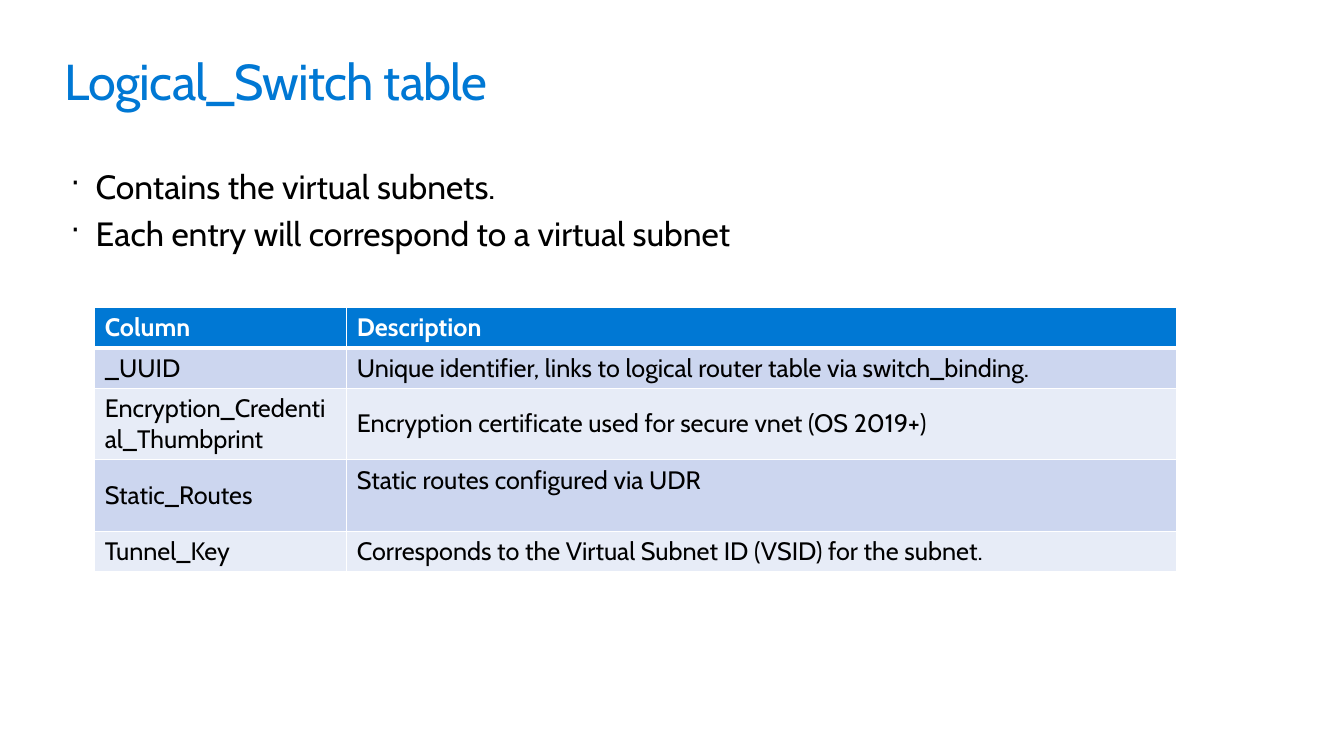
from lxml.etree import SubElement
from pptx import Presentation
from pptx.dml.color import RGBColor
from pptx.enum.text import MSO_ANCHOR
from pptx.oxml.ns import qn
from pptx.util import Inches, Pt

COLORS = {"blue": "0078D4", "black": "000000", "white": "FFFFFF",
          "band": "CCD6EF", "pale": "E7ECF7"}


def write(frame, text, size=18, color="black", bold=False, space=None, bullet=False):
    frame.word_wrap = True
    for i, line in enumerate(text.split("\n")):
        para = frame.add_paragraph() if i else frame.paragraphs[0]
        if i and bullet:
            para.space_before = Pt(size * 0.2)
        if bullet:
            props = para._p.get_or_add_pPr()
            props.set("marL", str(Inches(0.25)))
            props.set("indent", str(-Inches(0.25)))
            SubElement(props, qn("a:buSzPct"), val="90000")
            SubElement(props, qn("a:buChar"), char="·")
        run = para.add_run()
        run.text = line
        run.font.name = "Cabin"
        run.font.size = Pt(size)
        run.font.bold = bold
        run.font.color.rgb = RGBColor.from_string(COLORS[color])
        if space:
            run._r.get_or_add_rPr().set("spc", str(space))


def edge(cell, side, width):
    line = SubElement(cell._tc.get_or_add_tcPr(), qn("a:" + side), w=str(Pt(width)))
    fill = SubElement(line, qn("a:solidFill"))
    SubElement(fill, qn("a:srgbClr"), val=COLORS["white"])


deck = Presentation()
deck.slide_width = Inches(13.33)
deck.slide_height = Inches(7.5)
slide = deck.slides.add_slide(deck.slide_layouts[6])

texts = [
    ((0.64, 0.5, 12.05, 0.61), "Logical_Switch table",
     {"size": 36, "color": "blue", "space": -50}),
    ((0.7, 1.65, 10.73, 0.89),
     "Contains the virtual subnets.\nEach entry will correspond to a virtual subnet",
     {"size": 24, "bullet": True}),
]
for place, text, style in texts:
    frame = slide.shapes.add_textbox(*map(Inches, place)).text_frame
    frame.margin_left = frame.margin_right = 0
    frame.margin_top = frame.margin_bottom = 0
    write(frame, text, **style)

rows = [
    (0.4, "Column", "Description"),
    (0.4, "_UUID", "Unique identifier, links to logical router table via switch_binding."),
    (0.71, "Encryption_Credential_Thumbprint",
     "Encryption certificate used for secure vnet (OS 2019+)"),
    (0.71, "Static_Routes", "Static routes configured via UDR"),
    (0.4, "Tunnel_Key", "Corresponds to the Virtual Subnet ID (VSID) for the subnet."),
]
table = slide.shapes.add_table(len(rows), 2, Inches(0.94), Inches(3.05),
                               Inches(10.73), Inches(2.62)).table
for col, width in zip(table.columns, (2.5, 8.23)):
    col.width = Inches(width)

for r, (height, *words) in enumerate(rows):
    table.rows[r].height = Inches(height)
    head = r == 0
    for c, text in enumerate(words):
        cell = table.cell(r, c)
        high = head or text.startswith("Static routes")
        cell.vertical_anchor = MSO_ANCHOR.TOP if high else MSO_ANCHOR.MIDDLE
        write(cell.text_frame, text, color="white" if head else "black", bold=head)
        for side in ("lnL", "lnR", "lnT", "lnB"):
            thick = (head and side == "lnB") or (r == 1 and side == "lnT")
            edge(cell, side, 3 if thick else 1)
        cell.fill.solid()
        shade = "blue" if head else "band" if r % 2 else "pale"
        cell.fill.fore_color.rgb = RGBColor.from_string(COLORS[shade])

deck.save("out.pptx")
